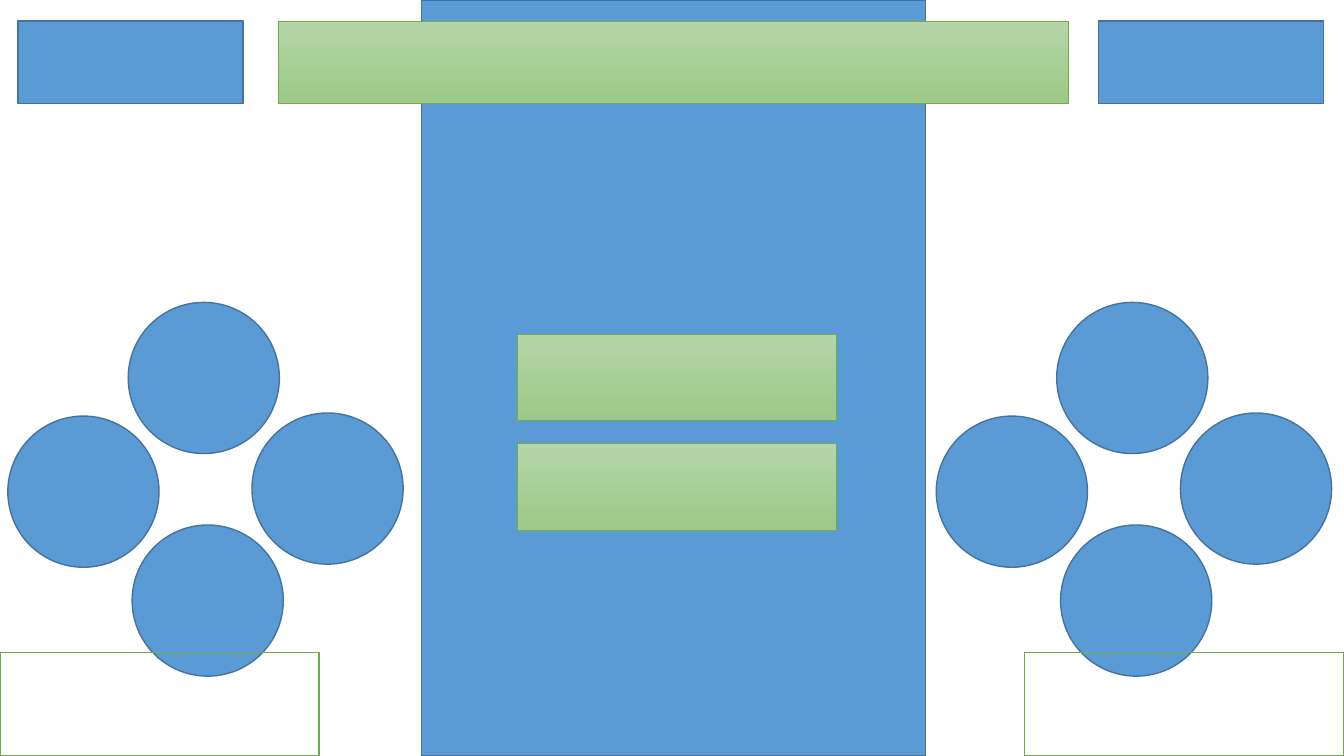
from pptx import Presentation
from pptx.dml.color import RGBColor
from pptx.enum.shapes import MSO_SHAPE
from pptx.util import Pt

BLUE = RGBColor(0x5B, 0x9B, 0xD5)
BLUE_EDGE = RGBColor(0x43, 0x73, 0x9E)
GREEN_TOP = RGBColor(0xB5, 0xD5, 0xA7)
GREEN_BOTTOM = RGBColor(0x9C, 0xC9, 0x87)
GREEN_EDGE = RGBColor(0x70, 0xAD, 0x47)


class Deck:
    """Holds the style and the current slide."""

    def __init__(self, prs):
        self.s = prs.slides.add_slide(prs.slide_layouts[6])

    def shape(self, kind, x, y, w, h, edge, weight=1):
        sp = self.s.shapes.add_shape(kind, Pt(x), Pt(y), Pt(w), Pt(h))
        sp.shadow.inherit = False
        sp.line.color.rgb = edge
        sp.line.width = Pt(weight)
        return sp

    def solid(self, x, y, w, h, kind=MSO_SHAPE.RECTANGLE):
        sp = self.shape(kind, x, y, w, h, BLUE_EDGE)
        sp.fill.solid()
        sp.fill.fore_color.rgb = BLUE
        return sp

    def gradient(self, x, y, w, h):
        sp = self.shape(MSO_SHAPE.RECTANGLE, x, y, w, h, GREEN_EDGE, 0.5)
        sp.fill.gradient()
        sp.fill.gradient_angle = 270
        for stop, color in zip(sp.fill.gradient_stops, (GREEN_TOP, GREEN_BOTTOM)):
            stop.color.rgb = color

    def outline(self, x, y, w, h):
        sp = self.shape(MSO_SHAPE.RECTANGLE, x, y, w, h, GREEN_EDGE)
        sp.fill.background()


prs = Presentation()
prs.slide_width, prs.slide_height = Pt(960), Pt(540)
deck = Deck(prs)

# Central panel, turned upright
panel = deck.solid(211, 90, 540, 360)
panel.rotation = 90

# Four round buttons on each side
DIAMETER = 108
BUTTONS = [(5.6, 297.2), (180, 295), (91.6, 216), (94.4, 375)]
for side in (0, 663.2):
    for x, y in BUTTONS:
        deck.solid(side + x, y, DIAMETER, DIAMETER, MSO_SHAPE.OVAL)

# Top row: side buttons and the bar between them
TOP, TOP_H = 15, 59
for x in (784.8, 13):
    deck.solid(x, TOP, 160.6, TOP_H)
deck.gradient(198.8, TOP, 564.4, TOP_H)

# Outlined boxes in the bottom corners
BOX_W, BOX_H = 228, 74
for x in (0, 960 - BOX_W):
    deck.outline(x, 540 - BOX_H, BOX_W, BOX_H)

# Stacked bars in the panel
for y in (238.6, 317):
    deck.gradient(369.6, y, BOX_W, 62)

prs.save("out.pptx")
